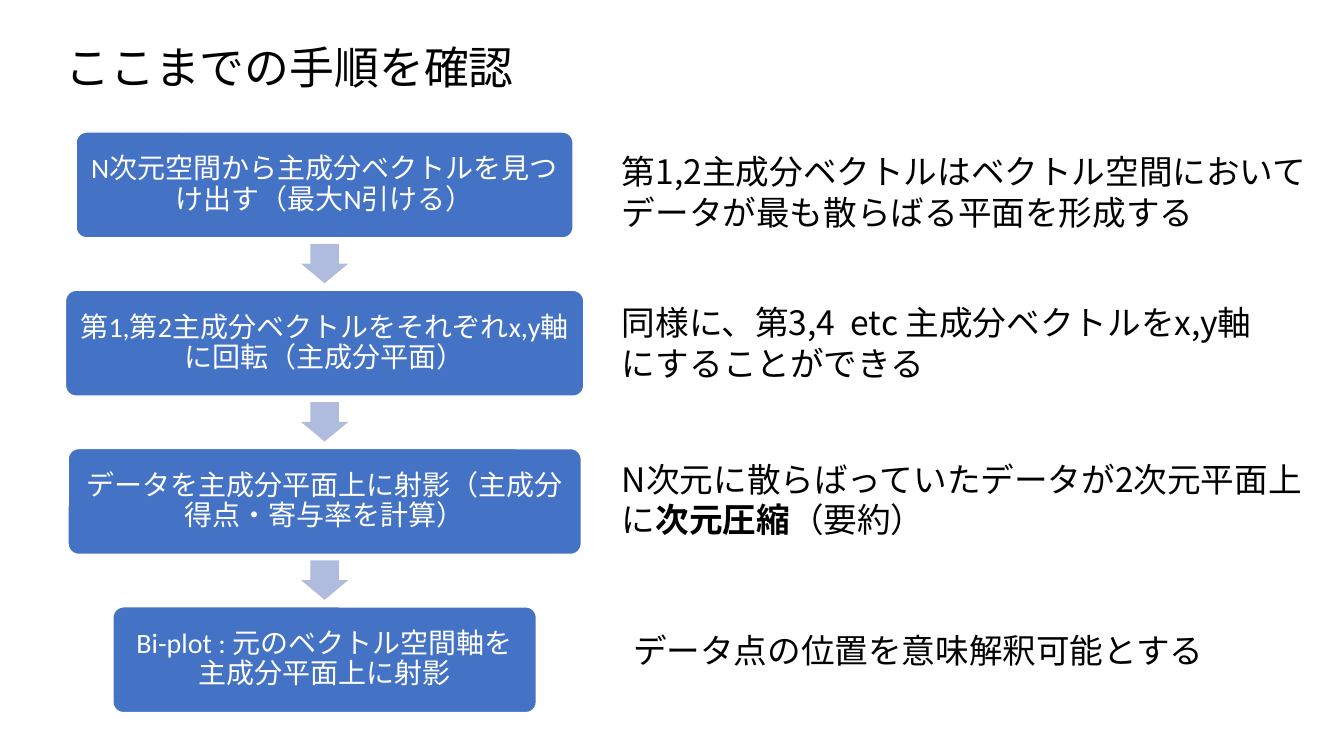
from dataclasses import dataclass
from lxml.etree import SubElement
from pptx import Presentation
from pptx.dml.color import RGBColor
from pptx.enum.lang import MSO_LANGUAGE_ID
from pptx.enum.shapes import MSO_SHAPE
from pptx.enum.text import MSO_ANCHOR, MSO_AUTO_SIZE, PP_ALIGN
from pptx.oxml.ns import qn
from pptx.util import Inches, Pt


@dataclass(frozen=True)
class Theme:
    blue: RGBColor = RGBColor(0x44, 0x72, 0xC4)
    pale: RGBColor = RGBColor(0xB0, 0xBC, 0xDE)
    white: RGBColor = RGBColor(0xFF, 0xFF, 0xFF)
    black: RGBColor = RGBColor(0, 0, 0)
    latin: str = "Calibri"
    asian: str = "Noto Sans CJK JP"
    title: int = 32
    note: int = 24
    step: int = 20


THEME = Theme()
MID = 3.22
TOP = 1.31
PITCH = 1.57
HEIGHT = 1.05

STEPS = [
    ("N次元空間から主成分ベクトルを見つけ出す（最大N引ける）", 4.93),
    ("第1,第2主成分ベクトルをそれぞれx,y軸に回転（主成分平面）", 5.14),
    ("データを主成分平面上に射影（主成分得点・寄与率を計算）", 5.09),
    ("Bi-plot : 元のベクトル空間軸を主成分平面上に射影", 4.2),
]
NOTES = [
    (["第1,2主成分ベクトルはベクトル空間においてデータが最も散らばる平面を形成する"],
     (6.07, 1.45, 7.01, 0.91), True),
    (["同様に、第3,4  etc 主成分ベクトルをx,y軸にすることができる"],
     (6.07, 2.95, 6.52, 0.91), True),
    (["N次元に散らばっていたデータが2次元平面上に", "次元圧縮", "（要約）"],
     (6.07, 4.5, 7.01, 0.91), True),
    (["データ点の位置を意味解釈可能とする"], (6.18, 6.2, 5.92, 0.5), False),
]


def style(run, size, color, face):
    font = run.font
    font.size = Pt(size)
    font.name = face
    font.color.rgb = color
    font.language_id = MSO_LANGUAGE_ID.JAPANESE
    asian = SubElement(font._element, qn("a:ea"))
    asian.set("typeface", THEME.asian)


def add_title(slide, text):
    title = slide.shapes.title
    title.left, title.top = Inches(0.55), Inches(0.34)
    title.width, title.height = Inches(4.69), Inches(0.64)
    frame = title.text_frame
    frame.text = text
    frame.word_wrap = False
    frame.auto_size = MSO_AUTO_SIZE.NONE
    frame.vertical_anchor = MSO_ANCHOR.TOP
    para = frame.paragraphs[0]
    para.alignment = PP_ALIGN.LEFT
    style(para.runs[0], THEME.title, THEME.black, THEME.asian)


def add_solid(slide, kind, box, fill, ratios):
    shape = slide.shapes.add_shape(kind, *map(Inches, box))
    shape.shadow.inherit = False
    shape.fill.solid()
    shape.fill.fore_color.rgb = fill
    for index, ratio in enumerate(ratios):
        shape.adjustments[index] = ratio
    return shape


def add_step(slide, text, top, width):
    box = (MID - width / 2, top, width, HEIGHT)
    shape = add_solid(slide, MSO_SHAPE.ROUNDED_RECTANGLE, box, THEME.blue, [0.1])
    shape.line.color.rgb = THEME.white
    shape.line.width = Pt(1)
    frame = shape.text_frame
    frame.text = text
    frame.word_wrap = True
    frame.vertical_anchor = MSO_ANCHOR.MIDDLE
    frame.margin_left = frame.margin_right = Inches(0.08)
    frame.margin_top = frame.margin_bottom = Inches(0.08)
    para = frame.paragraphs[0]
    para.alignment = PP_ALIGN.CENTER
    para.line_spacing = 0.9
    style(para.runs[0], THEME.step, THEME.white, THEME.latin)


def add_arrow(slide, top):
    box = (MID - 0.47 / 2, top, 0.47, 0.39)
    shape = add_solid(slide, MSO_SHAPE.DOWN_ARROW, box, THEME.pale, [0.6, 0.5])
    shape.line.fill.background()


def add_note(slide, parts, box, wrap):
    frame = slide.shapes.add_textbox(*map(Inches, box)).text_frame
    frame.word_wrap = wrap
    frame.auto_size = MSO_AUTO_SIZE.SHAPE_TO_FIT_TEXT
    para = frame.paragraphs[0]
    for index, part in enumerate(parts):
        run = para.add_run()
        run.text = part
        run.font.bold = index == 1
        style(run, THEME.note, THEME.black, THEME.asian)


def main():
    deck = Presentation()
    deck.slide_width, deck.slide_height = Inches(13.33), Inches(7.5)
    slide = deck.slides.add_slide(deck.slide_layouts[5])
    add_title(slide, "ここまでの手順を確認")
    for index, (text, width) in enumerate(STEPS):
        top = TOP + index * PITCH
        add_step(slide, text, top, width)
        if index < len(STEPS) - 1:
            add_arrow(slide, top + 1.11)
    for parts, box, wrap in NOTES:
        add_note(slide, parts, box, wrap)
    deck.save("out.pptx")


if __name__ == "__main__":
    main()
